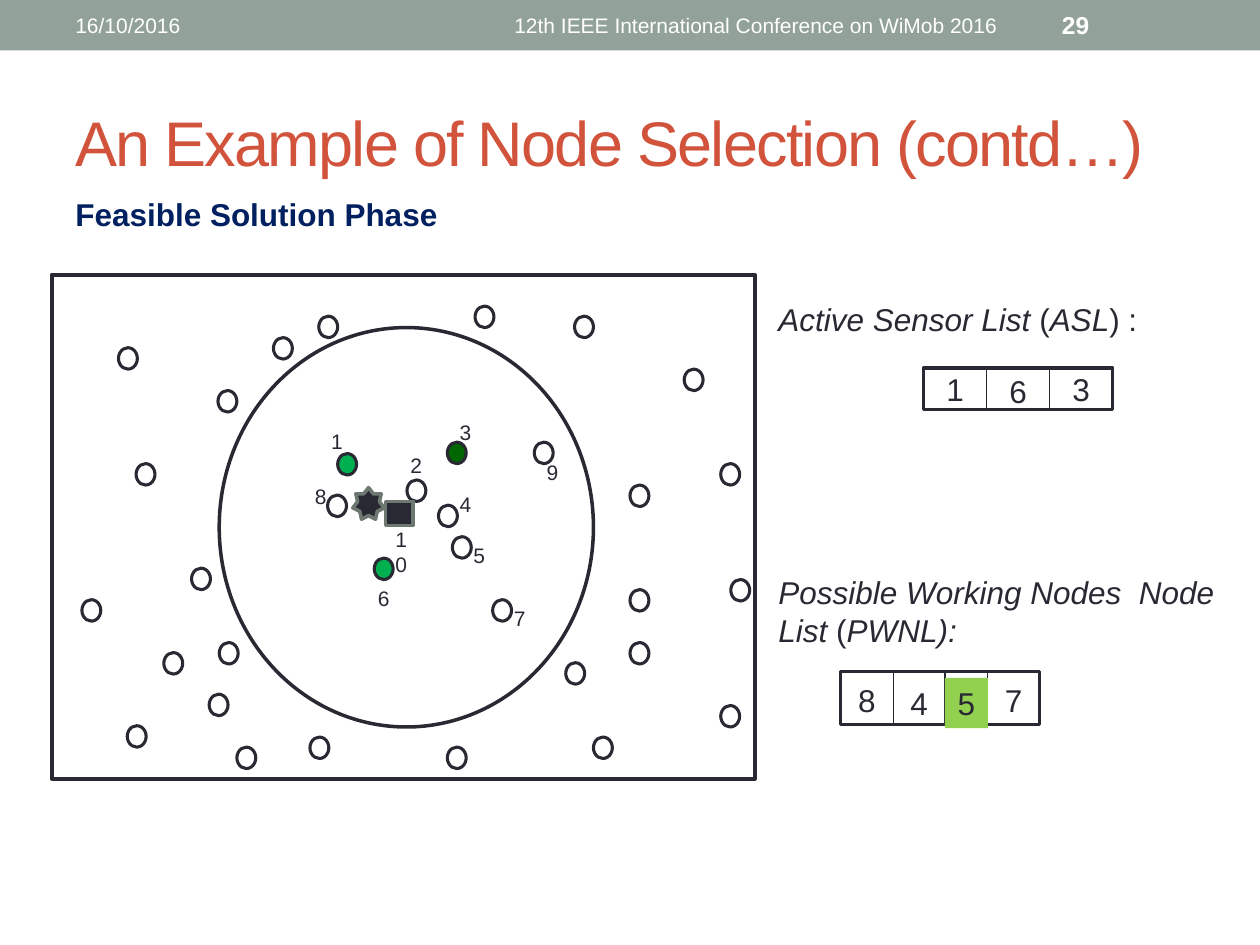
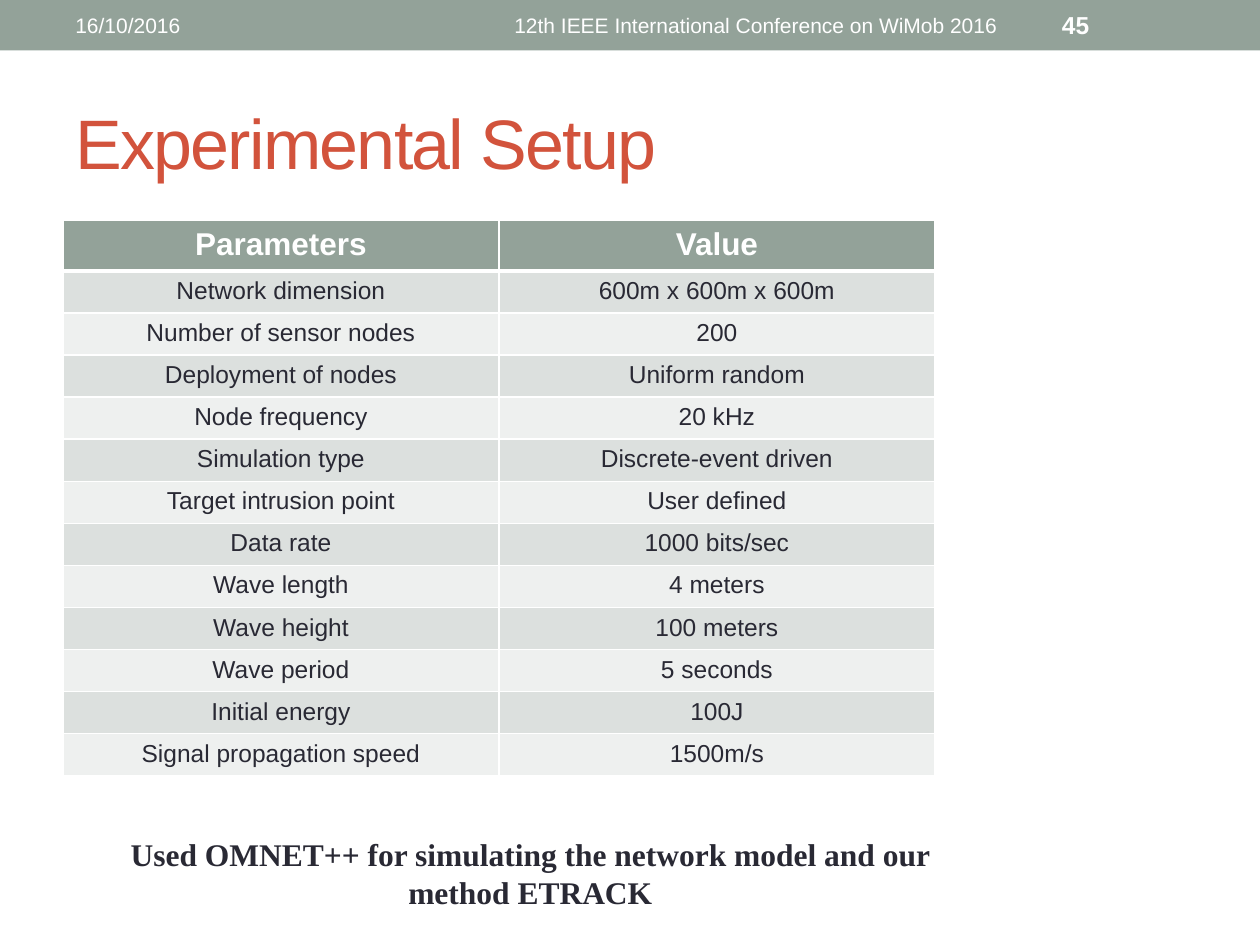
"""Build two conference slides: a node selection diagram and an experiment table."""
from itertools import pairwise

from pptx import Presentation
from pptx.dml.color import RGBColor
from pptx.enum.shapes import MSO_CONNECTOR, MSO_SHAPE
from pptx.enum.text import MSO_ANCHOR, PP_ALIGN
from pptx.oxml import parse_xml
from pptx.oxml.ns import nsdecls, qn
from pptx.util import Inches, Pt
from lxml.etree import SubElement

SAGE = RGBColor(0x93, 0xA2, 0x99)
DARK_SAGE = RGBColor(0x6D, 0x78, 0x71)
INK = RGBColor(0x29, 0x29, 0x34)
RUST = RGBColor(0xD2, 0x53, 0x3C)
NAVY = RGBColor(0x00, 0x20, 0x60)
WHITE = RGBColor(0xFF, 0xFF, 0xFF)
GREEN = RGBColor(0x00, 0xB0, 0x50)
FOREST = RGBColor(0x00, 0x66, 0x00)
LIME = RGBColor(0x92, 0xD0, 0x50)
BAND_DARK = RGBColor(0xDC, 0xE0, 0xDE)
BAND_LIGHT = RGBColor(0xEE, 0xF0, 0xEF)

COLUMNS, ROWS = 1000, 750
UNIT = Inches(10) // COLUMNS

DATE = "16/10/2016"
CONFERENCE = "12th IEEE International Conference on WiMob 2016"

SELECTION_TITLE = "An Example of Node Selection (contd…)"
PHASE = "Feasible Solution Phase"
FIELD = (41, 218, 558, 400)
SENSING_RANGE = (174, 260, 297, 317)
NODE_SIZE = (15, 17)
IDLE_NODES = [
    (253, 251), (65, 476), (456, 251), (152, 451), (94, 276), (173, 310),
    (108, 368), (101, 576), (500, 468), (543, 293), (572, 368), (572, 560),
    (580, 460), (188, 593), (174, 510), (130, 518), (246, 585), (166, 551),
    (355, 593), (260, 393), (377, 243), (449, 526), (500, 510), (217, 268),
    (323, 381), (424, 351), (348, 401), (500, 385), (359, 426), (391, 476),
    (471, 585),
]
ACTIVE_NODES = [(297, 443, GREEN), (268, 360, GREEN), (355, 351, FOREST)]
TARGET = (280, 387, 25, 25)
HEAD_NODE = (306, 398, 22, 19)
NODE_LABELS = [
    ("1", 253, 335), ("8", 240, 379), ("2", 316, 354), ("3", 355, 328),
    ("4", 355, 385), ("10", 304, 413), ("6", 290, 460), ("5", 366, 426),
    ("7", 398, 476), ("9", 424, 360),
]
NODE_LISTS = [
    {
        "caption": [("Active Sensor List ", True), ("(", False), ("ASL", True), (") :", False)],
        "caption_box": (608, 233, 367, 40),
        "edges": [733, 783, 833, 883], "top": 292, "height": 33,
        "entries": [("1", -3, None), ("6", -2, None), ("3", -3, None)],
    },
    {
        "caption": [("Possible Working Nodes  Node List ", True), ("(", False), ("PWNL):", True)],
        "caption_box": (608, 450, 367, 71),
        "edges": [667, 709, 750, 784, 825], "top": 533, "height": 42,
        "entries": [("8", 3, None), ("4", 5, None), ("5", 5, LIME), ("7", 3, None)],
    },
]

SETUP_TITLE = "Experimental Setup"
SETUP_ROWS = [
    ("Parameters", "Value"),
    ("Network dimension", "600m x 600m x 600m"),
    ("Number of sensor nodes", "200"),
    ("Deployment of nodes", "Uniform random"),
    ("Node frequency", "20 kHz"),
    ("Simulation type", "Discrete-event driven"),
    ("Target intrusion point", "User defined"),
    ("Data rate", "1000 bits/sec"),
    ("Wave length", "4 meters"),
    ("Wave height", "100 meters"),
    ("Wave period", "5 seconds"),
    ("Initial energy", "100J"),
    ("Signal propagation speed", "1500m/s"),
]
TABLE_PLACE = (50, 175, 692)
HEADER_HEIGHT, ROW_HEIGHT = 37, 31
TOOL_NOTE = "Used OMNET++ for simulating the network model and our method ETRACK"


def grid(*cells):
    return [cell * UNIT for cell in cells]


def write(frame, text, size=18, color=INK, font="Arial", bold=False, align=PP_ALIGN.LEFT, spacing=None):
    """Write text, or (text, italic) parts, as the frame's one paragraph."""
    paragraph = frame.paragraphs[0]
    paragraph.alignment = align
    for part, italic in [(text, False)] if isinstance(text, str) else text:
        run = paragraph.add_run()
        run.text = part
        run.font.name, run.font.size = font, Pt(size)
        run.font.bold, run.font.italic = bold, italic
        run.font.color.rgb = color
        if spacing:
            run.font._element.set("spc", str(spacing * 100))


def add_text(slide, text, box, anchor=MSO_ANCHOR.TOP, inset=10, fill=None, **text_format):
    shape = slide.shapes.add_textbox(*grid(*box))
    if fill:
        shape.fill.solid()
        shape.fill.fore_color.rgb = fill
    frame = shape.text_frame
    frame.word_wrap = True
    frame.vertical_anchor = anchor
    frame.margin_left = frame.margin_right = inset * UNIT
    write(frame, text, **text_format)


def add_figure(slide, kind, box, fill=None, line=None, width=1.75):
    shape = slide.shapes.add_shape(kind, *grid(*box))
    shape.shadow.inherit = False
    if fill:
        shape.fill.solid()
        shape.fill.fore_color.rgb = fill
    else:
        shape.fill.background()
    if line:
        shape.line.color.rgb = line
        shape.line.width = Pt(width)
    else:
        shape.line.fill.background()


def add_divider(slide, x, top, bottom):
    connector = slide.shapes.add_connector(MSO_CONNECTOR.STRAIGHT, *grid(x, top, x, bottom))
    connector.line.color.rgb = INK
    connector.line.width = Pt(0.75)
    SubElement(connector._element.spPr, qn("a:effectLst"))


def add_base(presentation, title, number, title_size):
    slide = presentation.slides.add_slide(presentation.slide_layouts[6])
    add_figure(slide, MSO_SHAPE.RECTANGLE, (0, 0, COLUMNS, 40), fill=SAGE)
    band = {"anchor": MSO_ANCHOR.MIDDLE, "color": WHITE}
    add_text(slide, DATE, (50, 2, 317, 36), size=12, **band)
    add_text(slide, CONFERENCE, (375, 2, 450, 36), size=12, align=PP_ALIGN.CENTER, **band)
    add_text(slide, number, (833, 2, 117, 36), size=14, bold=True, **band)
    add_text(slide, title, (50, 58, 900, 108), anchor=MSO_ANCHOR.MIDDLE,
             size=title_size, color=RUST, spacing=-1)
    return slide


def add_node_list(slide, caption, caption_box, edges, top, height, entries):
    add_text(slide, caption, caption_box)
    add_figure(slide, MSO_SHAPE.RECTANGLE, (edges[0], top, edges[-1] - edges[0], height),
               line=INK, width=2.08)
    for x in edges[1:-1]:
        add_divider(slide, x, top, top + height)
    for (left, right), (label, drop, fill) in zip(pairwise(edges), entries):
        add_text(slide, label, (left, top + drop, right - left, 40), inset=0,
                 fill=fill, align=PP_ALIGN.CENTER)


def build_selection(presentation):
    slide = add_base(presentation, SELECTION_TITLE, "29", 36)
    add_text(slide, PHASE, (50, 150, 320, 40), bold=True, color=NAVY)
    add_figure(slide, MSO_SHAPE.RECTANGLE, FIELD, line=INK, width=2.25)
    nodes = [(left, top, None) for left, top in IDLE_NODES] + ACTIVE_NODES
    for left, top, fill in nodes:
        add_figure(slide, MSO_SHAPE.OVAL, (left, top, *NODE_SIZE), fill=fill, line=INK)
    add_figure(slide, MSO_SHAPE.OVAL, SENSING_RANGE, line=INK, width=2)
    for label, left, top in NODE_LABELS:
        add_text(slide, label, (left, top, 34, 30), size=12)
    for kind, box in [(MSO_SHAPE.STAR_7_POINT, TARGET), (MSO_SHAPE.RECTANGLE, HEAD_NODE)]:
        add_figure(slide, kind, box, fill=INK, line=DARK_SAGE, width=2.08)
    for node_list in NODE_LISTS:
        add_node_list(slide, **node_list)


def set_borders(cell, **widths):
    properties = cell._tc.get_or_add_tcPr()
    for side in "LRTB":
        properties.append(parse_xml(
            f'<a:ln{side} {nsdecls("a")} w="{Pt(widths.get(side, 1))}"><a:solidFill>'
            f'<a:srgbClr val="{WHITE}"/></a:solidFill></a:ln{side}>'))


def build_setup(presentation):
    slide = add_base(presentation, SETUP_TITLE, "45", 40)
    left, top, width = TABLE_PLACE
    height = HEADER_HEIGHT + ROW_HEIGHT * (len(SETUP_ROWS) - 1)
    table = slide.shapes.add_table(len(SETUP_ROWS), 2, *grid(left, top, width, height)).table
    for index, texts in enumerate(SETUP_ROWS):
        header = index == 0
        table.rows[index].height = (HEADER_HEIGHT if header else ROW_HEIGHT) * UNIT
        fill = SAGE if header else BAND_DARK if index % 2 else BAND_LIGHT
        borders = {0: {"B": 3}, 1: {"T": 3}}.get(index, {})
        for column, text in enumerate(texts):
            cell = table.cell(index, column)
            set_borders(cell, **borders)
            cell.fill.solid()
            cell.fill.fore_color.rgb = fill
            write(cell.text_frame, text, size=18 if header else 14, bold=header,
                  color=WHITE if header else INK, align=PP_ALIGN.CENTER)
    add_text(slide, TOOL_NOTE, (58, 658, 726, 71), font="Times New Roman", bold=True,
             align=PP_ALIGN.CENTER)


def main():
    presentation = Presentation()
    presentation.slide_width, presentation.slide_height = grid(COLUMNS, ROWS)
    build_selection(presentation)
    build_setup(presentation)
    presentation.save("out.pptx")


if __name__ == "__main__":
    main()
